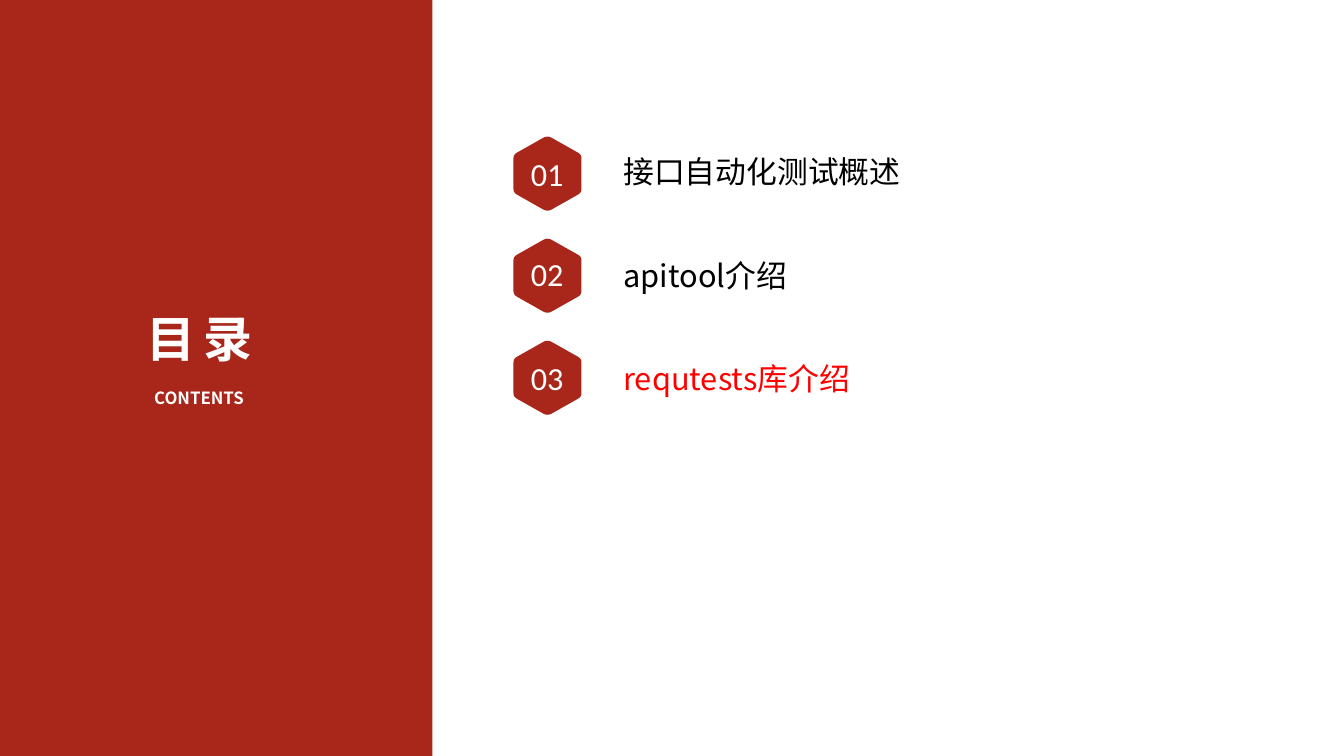
import pptx
import pptx.dml.color
import pptx.enum.shapes
import pptx.enum.text
import pptx.oxml.ns
import pptx.util
import lxml.etree

Pt = pptx.util.Pt
RGBColor = pptx.dml.color.RGBColor
ALIGN = pptx.enum.text.PP_ALIGN
ANCHOR = pptx.enum.text.MSO_ANCHOR

BRICK = RGBColor(0xA8, 0x27, 0x1A)
WHITE = RGBColor(0xFF, 0xFF, 0xFF)
BLACK = RGBColor(0x00, 0x00, 0x00)
RED = RGBColor(0xFF, 0x00, 0x00)

CJK_FONT = "Noto Sans CJK SC"
TITLE = {"name": CJK_FONT, "size": Pt(70), "bold": True}
SUBTITLE = {"name": CJK_FONT, "size": Pt(24), "bold": True}
LABEL = {"name": CJK_FONT, "size": Pt(44)}
NUMBER = {"name": "Calibri", "size": Pt(46)}

ROW_PITCH = 145.8
BADGE_WIDTH, BADGE_HEIGHT = 97.2, 105.8
# Top right quarter of the rounded hexagon, from its centre
QUARTER = [(0, -52.9), (3, -52.5), (5.6, -51.4), (43.2, -30.2),
           (45.4, -28.8), (47.5, -26.4), (48.4, -24), (48.6, -21.6)]
# Text, colour, label width, and the tops of label and number below the row top
CHAPTERS = [
    ("接口自动化测试概述", BLACK, 465, 19.4, 15),
    ("apitool介绍", BLACK, 447, 21.9, 11.8),
    ("requtests库介绍", RED, 362, 23.7, 15),
]


def paint(shape, color):
    shape.shadow.inherit = False
    shape.fill.solid()
    shape.fill.fore_color.rgb = color
    shape.line.fill.background()


def add_text(slide, box, text, style, color, align=ALIGN.LEFT,
             anchor=ANCHOR.TOP, spacing=0):
    shape = slide.shapes.add_textbox(*map(Pt, box))
    frame = shape.text_frame
    margins = {f"margin_{side}": Pt(3.6) for side in ("left", "top", "right", "bottom")}
    for name, value in {"word_wrap": True, "vertical_anchor": anchor, **margins}.items():
        setattr(frame, name, value)
    paragraph = frame.paragraphs[0]
    paragraph.alignment = align
    run = paragraph.add_run()
    run.text = text
    for name, value in style.items():
        setattr(run.font, name, value)
    run.font.color.rgb = color
    # East Asian typeface and letter spacing
    properties = run._r.get_or_add_rPr()
    east_asian = lxml.etree.SubElement(properties, pptx.oxml.ns.qn("a:ea"))
    east_asian.set("typeface", style["name"])
    if spacing:
        properties.set("spc", str(round(spacing * 100)))


def add_badge(slide, left, top):
    center_x, center_y = left + BADGE_WIDTH / 2, top + BADGE_HEIGHT / 2
    right = QUARTER + [(x, -y) for x, y in reversed(QUARTER)]
    outline = right + [(-x, y) for x, y in reversed(right[1:-1])]
    points = [(Pt(center_x + x), Pt(center_y + y)) for x, y in outline]
    builder = slide.shapes.build_freeform(*points[0])
    builder.add_line_segments(points[1:], close=True)
    paint(builder.convert_to_shape(), BRICK)


def add_title_panel(slide, left, top, width, height):
    panel = slide.shapes.add_shape(
        pptx.enum.shapes.MSO_SHAPE.RECTANGLE, *map(Pt, (left, top, width, height)))
    paint(panel, BRICK)
    add_text(slide, (left + 134.6, top + 550, 299.5, 71.3), "CONTENTS",
             SUBTITLE, WHITE, ALIGN.CENTER)
    add_text(slide, (left + 80.6, top + 437.8, 409, 205.2), "目录",
             TITLE, WHITE, ALIGN.CENTER, spacing=11.7)


def add_chapter_list(slide, left, top):
    for index, (text, color, width, label_top, number_top) in enumerate(CHAPTERS):
        row_top = top + index * ROW_PITCH
        add_text(slide, (left + 153.4, row_top + label_top, width, 56),
                 text, LABEL, color)
        add_badge(slide, left, row_top)
        # The number is centred across the badge
        number_box = (left - 14.4, row_top + number_top, 125.3, 75.6)
        add_text(slide, number_box, f"{index + 1:02}", NUMBER, WHITE,
                 ALIGN.CENTER, ANCHOR.MIDDLE)


def main():
    presentation = pptx.Presentation()
    presentation.slide_width = Pt(1920)
    presentation.slide_height = Pt(1080)
    slide = presentation.slides.add_slide(presentation.slide_layouts[6])
    add_title_panel(slide, 0, 0, 617.8, 1080)
    add_chapter_list(slide, 733.5, 195.2)
    presentation.save("out.pptx")


if __name__ == "__main__":
    main()
